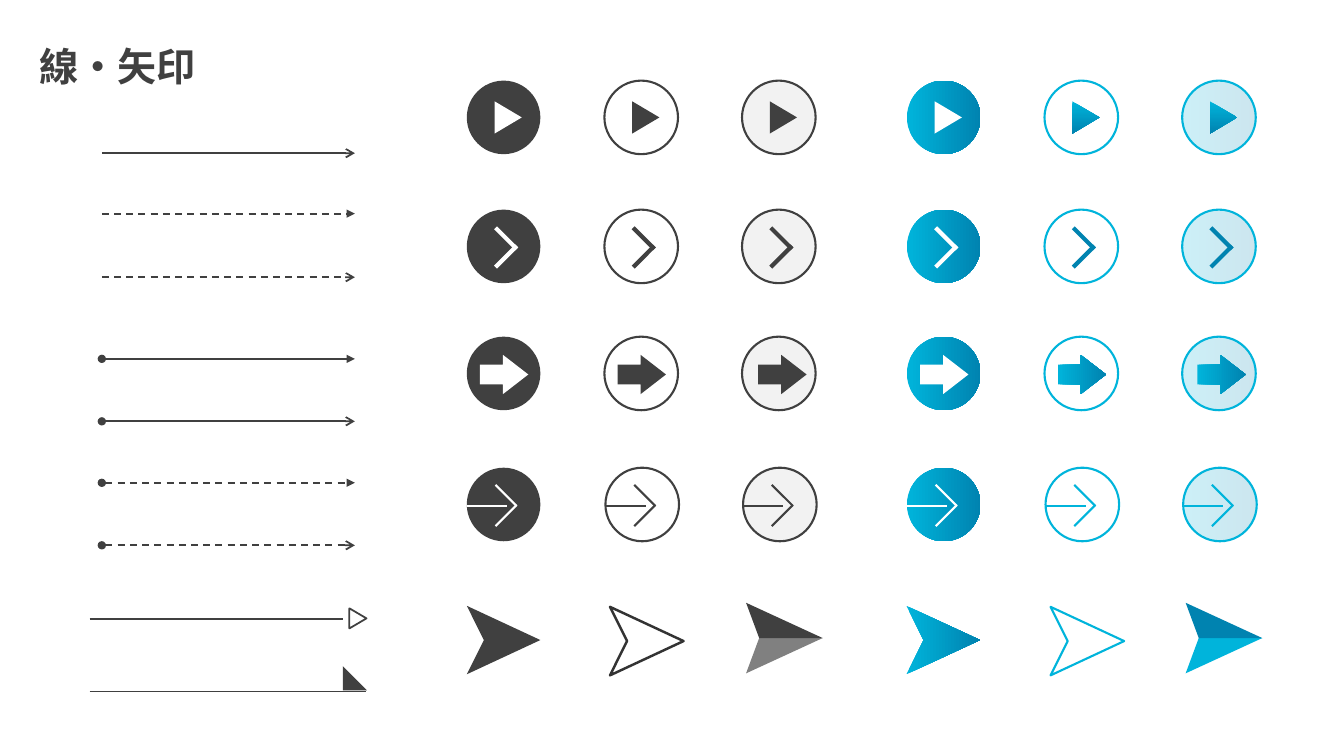
from dataclasses import dataclass
from typing import Optional, Union

from lxml import etree
from pptx import Presentation
from pptx.dml.color import RGBColor
from pptx.enum.dml import MSO_LINE
from pptx.enum.shapes import MSO_CONNECTOR, MSO_SHAPE
from pptx.enum.text import MSO_ANCHOR, MSO_AUTO_SIZE, PP_ALIGN
from pptx.oxml.ns import qn
from pptx.util import Inches, Pt

FONT = "Noto Sans CJK JP"
DARK, GREY, PALE, WHITE = "404040", "808080", "F2F2F2", "FFFFFF"
CYAN, BLUE = "00B4DB", "0083B0"


@dataclass(frozen=True)
class Gradient:
    start: str
    end: str
    opacity: int = 100


Paint = Union[str, Gradient, None]


@dataclass(frozen=True)
class LineSample:
    y: float
    tail: str
    dashed: bool = False
    head: Optional[str] = None


@dataclass(frozen=True)
class IconStyle:
    x: float
    disc: Paint
    rim: Optional[str]
    mark: Paint
    chevron: str
    arrow: str
    arrow_dx: float = 0.13
    long_dx: float = 0.0


@dataclass(frozen=True)
class Dart:
    x: float
    y: float
    fill: Paint = None
    line: Optional[str] = None
    width: float = 1.5


SEA = Gradient(CYAN, BLUE)
MIST = Gradient(CYAN, BLUE, 20)
DISC = 0.73
COLUMN_STEP, SET_STEP = 1.365, 4.365
FIRST_X = 4.63


def column_x(column: int, colour_set: int) -> float:
    return FIRST_X + column * COLUMN_STEP + colour_set * SET_STEP


LINES = [
    LineSample(1.52, "arrow"),
    LineSample(2.12, "triangle", True),
    LineSample(2.75, "arrow", True),
    LineSample(3.56, "triangle", False, "oval"),
    LineSample(4.18, "arrow", False, "oval"),
    LineSample(4.79, "triangle", True, "oval"),
    LineSample(5.41, "arrow", True, "oval"),
]
STYLES = [
    IconStyle(column_x(0, 0), DARK, None, WHITE, WHITE, WHITE),
    IconStyle(column_x(1, 0), None, DARK, DARK, DARK, DARK, long_dx=0.01),
    IconStyle(column_x(2, 0), PALE, DARK, DARK, DARK, DARK, 0.16, 0.01),
    IconStyle(column_x(0, 1), SEA, None, WHITE, WHITE, WHITE),
    IconStyle(column_x(1, 1), None, CYAN, SEA, BLUE, CYAN, long_dx=0.01),
    IconStyle(column_x(2, 1), MIST, CYAN, SEA, BLUE, CYAN, 0.15, 0.01),
]
DARTS = [
    Dart(4.63, 6.01, DARK),
    Dart(6.05, 6.02, None, "333333", 1.75),
    Dart(8.99, 6.01, SEA),
    Dart(10.42, 6.02, None, CYAN),
]


def rgb(value: str) -> RGBColor:
    return RGBColor.from_string(value)


def paint(shape, fill: Paint, line: Optional[str] = None, width: float = 1.5) -> None:
    shape.shadow.inherit = False
    if fill is None:
        shape.fill.background()
    elif isinstance(fill, Gradient):
        shape.fill.gradient()
        shape.fill.gradient_angle = 0
        for stop, value in zip(shape.fill.gradient_stops, (fill.start, fill.end)):
            stop.color.rgb = rgb(value)
        if fill.opacity < 100:
            for color in shape._element.spPr.iter(qn("a:srgbClr")):
                etree.SubElement(color, qn("a:alpha")).set("val", str(fill.opacity * 1000))
    else:
        shape.fill.solid()
        shape.fill.fore_color.rgb = rgb(fill)
    if line:
        shape.line.color.rgb = rgb(line)
        shape.line.width = Pt(width)
    else:
        shape.line.fill.background()


def add_shape(shapes, kind, x: float, y: float, w: float, h: float, fill: Paint,
              line: Optional[str] = None, width: float = 1.5, rotation: float = 0):
    shape = shapes.add_shape(kind, Inches(x), Inches(y), Inches(w), Inches(h))
    shape.rotation = rotation
    paint(shape, fill, line, width)
    return shape


def add_line(shapes, x1: float, y1: float, x2: float, y2: float, color: str = DARK,
             width: float = 1.25, dashed: bool = False,
             head: Optional[str] = None, tail: Optional[str] = None) -> None:
    line = shapes.add_connector(MSO_CONNECTOR.STRAIGHT, Inches(x1), Inches(y1),
                                Inches(x2), Inches(y2))
    line.line.color.rgb = rgb(color)
    line.line.width = Pt(width)
    if dashed:
        line.line.dash_style = MSO_LINE.DASH
    sp_pr = line._element.spPr
    for tag, end in (("a:headEnd", head), ("a:tailEnd", tail)):
        if end:
            etree.SubElement(sp_pr.find(qn("a:ln")), qn(tag)).set("type", end)
    etree.SubElement(sp_pr, qn("a:effectLst"))


def add_outline(shapes, x: float, y: float, points, fill: Paint,
                line: Optional[str] = None, width: float = 1.5) -> None:
    corners = [(Inches(x + dx), Inches(y + dy)) for dx, dy in points]
    builder = shapes.build_freeform(*corners[0])
    builder.add_line_segments(corners[1:], close=True)
    paint(builder.convert_to_shape(), fill, line, width)


def add_icon(s, st: IconStyle, y: float, dx: float = 0):
    """Group holding the disc, ready for its mark."""
    icon = s.shapes.add_group_shape().shapes
    add_shape(icon, MSO_SHAPE.OVAL, st.x + dx, y, DISC, DISC, st.disc, st.rim)
    return icon


def add_chevron(icon, x: float, y: float, color: str, width: float, overlap: float) -> None:
    for side in (1, -1):
        start = y + 0.375 - side * overlap
        add_line(icon, x + 0.495, start, x + 0.285, start + side * 0.21, color, width)


def add_icon_column(s, st: IconStyle) -> None:
    play = add_icon(s, st, 0.8)
    add_shape(play, MSO_SHAPE.ISOSCELES_TRIANGLE, st.x + 0.25, 1.03, 0.32, 0.27,
              st.mark, rotation=90)

    add_chevron(add_icon(s, st, 2.08), st.x, 2.08, st.chevron, 3, 0.015)

    block = add_icon(s, st, 3.34)
    arrow = add_shape(block, MSO_SHAPE.RIGHT_ARROW, st.x + st.arrow_dx, 3.52, 0.48, 0.39, st.mark)
    arrow.adjustments[1] = 0.645

    x = st.x + st.long_dx
    long_arrow = add_icon(s, st, 4.64, st.long_dx)
    add_chevron(long_arrow, x, 4.64, st.arrow, 1.5, 0.005)
    add_line(long_arrow, x, 5.02, x + 0.4, 5.02, st.arrow, 1.5)


def add_split_dart(s, x: float, upper: str, lower: str) -> None:
    dart = s.shapes.add_group_shape().shapes
    for color, wing in ((lower, 0.7), (upper, 0)):
        add_outline(dart, x, 5.98, [(0.13, 0.35), (0, wing), (0.76, 0.35)], color)


def set_text(sp, text: str, *, size: float, color: str, bold: bool = False) -> None:
    tf = sp.text_frame
    tf.word_wrap = False
    tf.auto_size = MSO_AUTO_SIZE.NONE
    tf.vertical_anchor = MSO_ANCHOR.MIDDLE
    p = tf.paragraphs[0]
    p.alignment = PP_ALIGN.LEFT
    r = p.add_run()
    r.text = text
    r.font.size, r.font.bold, r.font.name = Pt(size), bold, FONT
    r.font.color.rgb = rgb(color)
    etree.SubElement(r.font._element, qn("a:ea")).set("typeface", FONT)


def main() -> None:
    prs = Presentation()
    prs.slide_width, prs.slide_height = Inches(13.33), Inches(7.5)
    s = prs.slides.add_slide(prs.slide_layouts[5])
    title = s.shapes.title
    title.left, title.top, title.width, title.height = map(Inches, (0.29, 0.37, 1.77, 0.57))
    set_text(title, "線・矢印", size=28, color=DARK, bold=True)

    for sample in LINES:
        add_line(s.shapes, 1.01, sample.y, 3.52, sample.y, dashed=sample.dashed,
                 head=sample.head, tail=sample.tail)
    hollow = s.shapes.add_group_shape().shapes
    add_line(hollow, 0.89, 6.14, 3.4, 6.14)
    add_shape(hollow, MSO_SHAPE.ISOSCELES_TRIANGLE, 3.45, 6.05, 0.2, 0.17, None, DARK, 1.25, 90)
    half = s.shapes.add_group_shape().shapes
    add_line(half, 0.89, 6.86, 3.63, 6.86)
    add_shape(half, MSO_SHAPE.RIGHT_TRIANGLE, 3.4, 6.61, 0.24, 0.24, DARK)

    for style in STYLES:
        add_icon_column(s, style)
    for dart in DARTS:
        add_outline(s.shapes, dart.x, dart.y, [(0, 0.68), (0.17, 0.34), (0, 0), (0.73, 0.34)],
                    dart.fill, dart.line, dart.width)
    add_split_dart(s, 7.4, DARK, GREY)
    add_split_dart(s, 11.76, BLUE, CYAN)
    prs.save("out.pptx")


if __name__ == "__main__":
    main()
